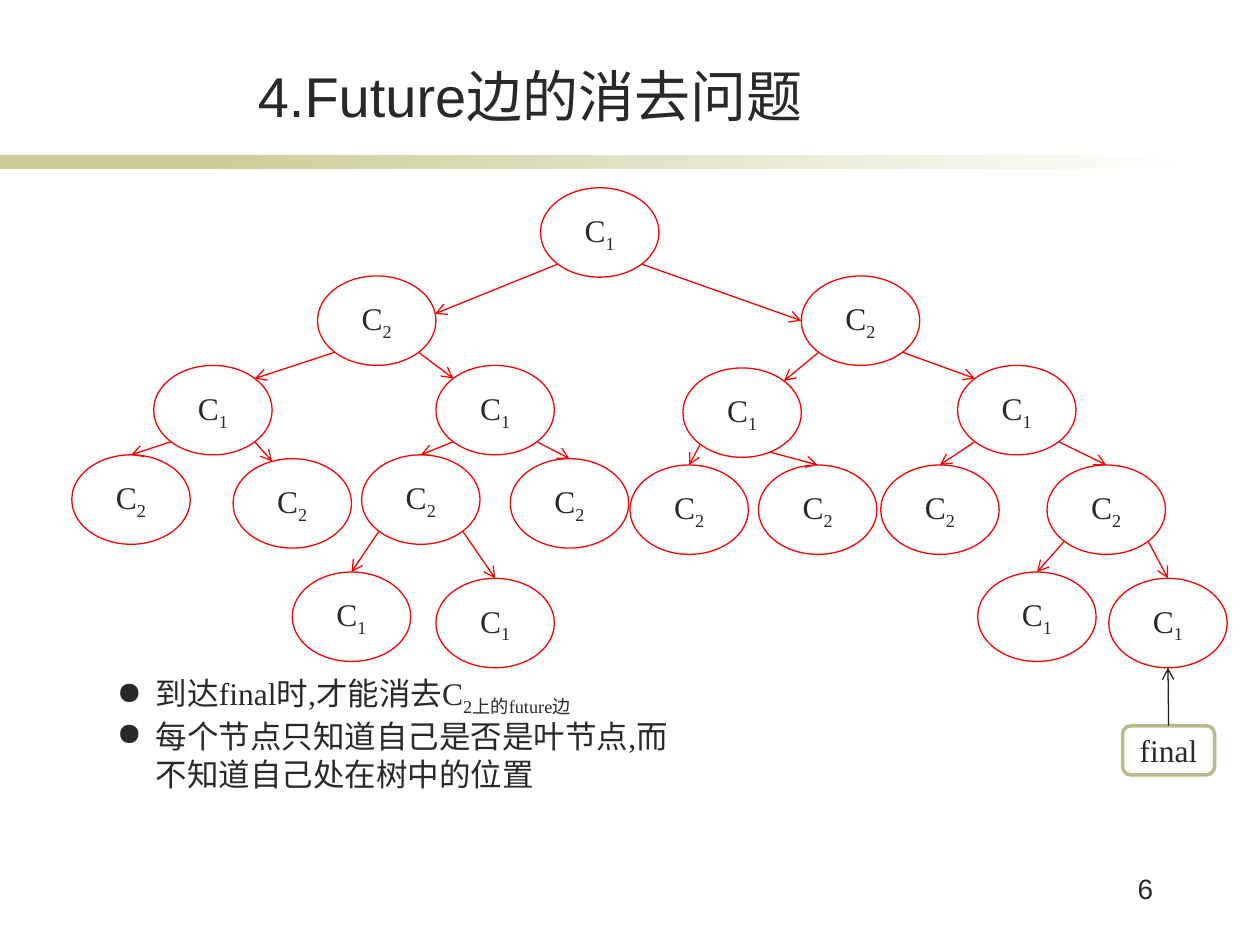
from math import cos, radians, sin

from lxml.etree import SubElement
from pptx import Presentation
from pptx.dml.color import RGBColor
from pptx.enum.shapes import MSO_CONNECTOR as Connector, MSO_SHAPE as Shape
from pptx.enum.text import MSO_ANCHOR as Anchor, PP_ALIGN as Align
from pptx.oxml.ns import qn
from pptx.util import Inches, Pt

SERIF, SANS = "Times New Roman", "Arial"
INK, RED, SAND, WHITE = "292929", "FF0000", "CCCC99", "FFFFFF"
NODE_WIDTH, NODE_HEIGHT = 0.94, 0.71
INDENT = 0.31

# Binary heap numbering: the parent of node n is n // 2, odd nodes are right children.
NODES = {
    1: (4.29, 1.49),
    2: (2.52, 2.19), 3: (6.36, 2.19),
    4: (1.22, 2.9), 5: (3.46, 2.9), 6: (5.42, 2.92), 7: (7.6, 2.9),
    8: (0.57, 3.61), 9: (1.85, 3.64), 10: (2.87, 3.61), 11: (4.05, 3.64),
    12: (5, 3.69), 13: (6.02, 3.69), 14: (6.99, 3.69), 15: (8.31, 3.69),
    20: (2.32, 4.54), 21: (3.46, 4.59), 30: (7.76, 4.54), 31: (8.8, 4.59),
}
TOP, BOTTOM = -90, 90
START_ANGLES = {13: 62}
END_ANGLES = {2: -9, 3: 180, 4: -45, 5: -135, 6: -45, 7: -135, 9: -110}


def color(value):
    return RGBColor.from_string(value)


def box(left, top, width, height):
    return [Inches(length) for length in (left, top, width, height)]


def set_font(paragraph, size, name):
    paragraph.font.size = Pt(size)
    paragraph.font.name = name
    paragraph.font.color.rgb = color(INK)


def add_runs(paragraph, text):
    for index, part in enumerate(text.split("_")):
        run = paragraph.add_run()
        run.text = part
        if index == 1:
            run._r.get_or_add_rPr().set("baseline", "-25000")


def add_shape(slide, kind, place, fill, line=None, weight=0.75):
    shape = slide.shapes.add_shape(kind, *box(*place))
    shape.shadow.inherit = False
    shape.fill.solid()
    shape.fill.fore_color.rgb = color(fill)
    if line:
        shape.line.color.rgb = color(line)
        shape.line.width = Pt(weight)
    else:
        shape.line.fill.background()
    return shape


def add_label(shape, text):
    frame = shape.text_frame
    frame.word_wrap = False
    frame.vertical_anchor = Anchor.MIDDLE
    paragraph = frame.paragraphs[0]
    paragraph.alignment = Align.CENTER
    set_font(paragraph, 18, SERIF)
    add_runs(paragraph, text)


def add_arrow(slide, start, end, line):
    points = [Inches(length) for length in (*start, *end)]
    arrow = slide.shapes.add_connector(Connector.STRAIGHT, *points)
    arrow.line.color.rgb = color(line)
    arrow.line.width = Pt(0.75)
    SubElement(arrow.line._get_or_add_ln(), qn("a:tailEnd"), type="arrow")
    SubElement(arrow._element.spPr, qn("a:effectLst"))


def rim(node, angle):
    left, top = NODES[node]
    return (left + NODE_WIDTH / 2 * (1 + cos(radians(angle))),
            top + NODE_HEIGHT / 2 * (1 + sin(radians(angle))))


def add_tree(slide):
    for node, corner in NODES.items():
        oval = add_shape(slide, Shape.OVAL, (*corner, NODE_WIDTH, NODE_HEIGHT), WHITE, RED)
        add_label(oval, "C_1" if node.bit_length() % 2 else "C_2")
    for node in list(NODES)[1:]:
        start_angle = START_ANGLES.get(node, 45 if node % 2 else 135)
        add_arrow(slide, rim(node // 2, start_angle), rim(node, END_ANGLES.get(node, TOP)), RED)


def add_final(slide):
    left, top, width, height = 8.91, 5.76, 0.73, 0.39
    final = add_shape(slide, Shape.ROUNDED_RECTANGLE, (left, top, width, height), WHITE, "B9B98A", 2)
    add_label(final, "final")
    add_arrow(slide, (left + width / 2, top), rim(31, BOTTOM), "202020")


def add_band(slide):
    add_shape(slide, Shape.RECTANGLE, (0, 1.23, 2.33, 0.11), SAND)
    fade = add_shape(slide, Shape.RECTANGLE, (1.58, 1.23, 7.92, 0.11), SAND)
    fade.fill.gradient()
    fade.fill.gradient_angle = 0
    for stop, value in zip(fade.fill.gradient_stops, (SAND, WHITE)):
        stop.color.rgb = color(value)


def add_title(slide, text):
    title = slide.shapes.title
    title.left, title.top, title.width, title.height = box(1.14, 0.44, 6.14, 0.63)
    title.text_frame.vertical_anchor = Anchor.BOTTOM
    title.text_frame.text = text
    paragraph = title.text_frame.paragraphs[0]
    paragraph.alignment = Align.CENTER
    set_font(paragraph, 32, SANS)


def add_bullets(slide, texts):
    frame = slide.shapes.add_textbox(*box(0.83, 5.3, 4.73, 1.34)).text_frame
    frame.word_wrap = True
    for index, text in enumerate(texts):
        paragraph = frame.add_paragraph() if index else frame.paragraphs[0]
        properties = paragraph._p.get_or_add_pPr()
        properties.set("marL", str(Inches(INDENT)))
        properties.set("indent", str(-Inches(INDENT)))
        bullet_color = SubElement(properties, qn("a:buClr"))
        SubElement(bullet_color, qn("a:srgbClr"), val=INK)
        SubElement(properties, qn("a:buChar"), char="●")
        set_font(paragraph, 18, SERIF)
        add_runs(paragraph, text)


def add_page_number(slide, text):
    frame = slide.shapes.add_textbox(*box(8.23, 6.87, 1.02, 0.5)).text_frame
    frame.word_wrap = True
    paragraph = frame.paragraphs[0]
    paragraph.text = text
    paragraph.alignment = Align.RIGHT
    set_font(paragraph, 16, SANS)


def main():
    presentation = Presentation()
    presentation.slide_width, presentation.slide_height = Inches(10), Inches(7.5)
    slide = presentation.slides.add_slide(presentation.slide_layouts[5])
    add_band(slide)
    add_title(slide, "4.Future边的消去问题")
    add_page_number(slide, "6")
    add_tree(slide)
    add_final(slide)
    add_bullets(slide, [
        "到达final时,才能消去C_2上的future边",
        "每个节点只知道自己是否是叶节点,而不知道自己处在树中的位置",
    ])
    presentation.save("out.pptx")


if __name__ == "__main__":
    main()
